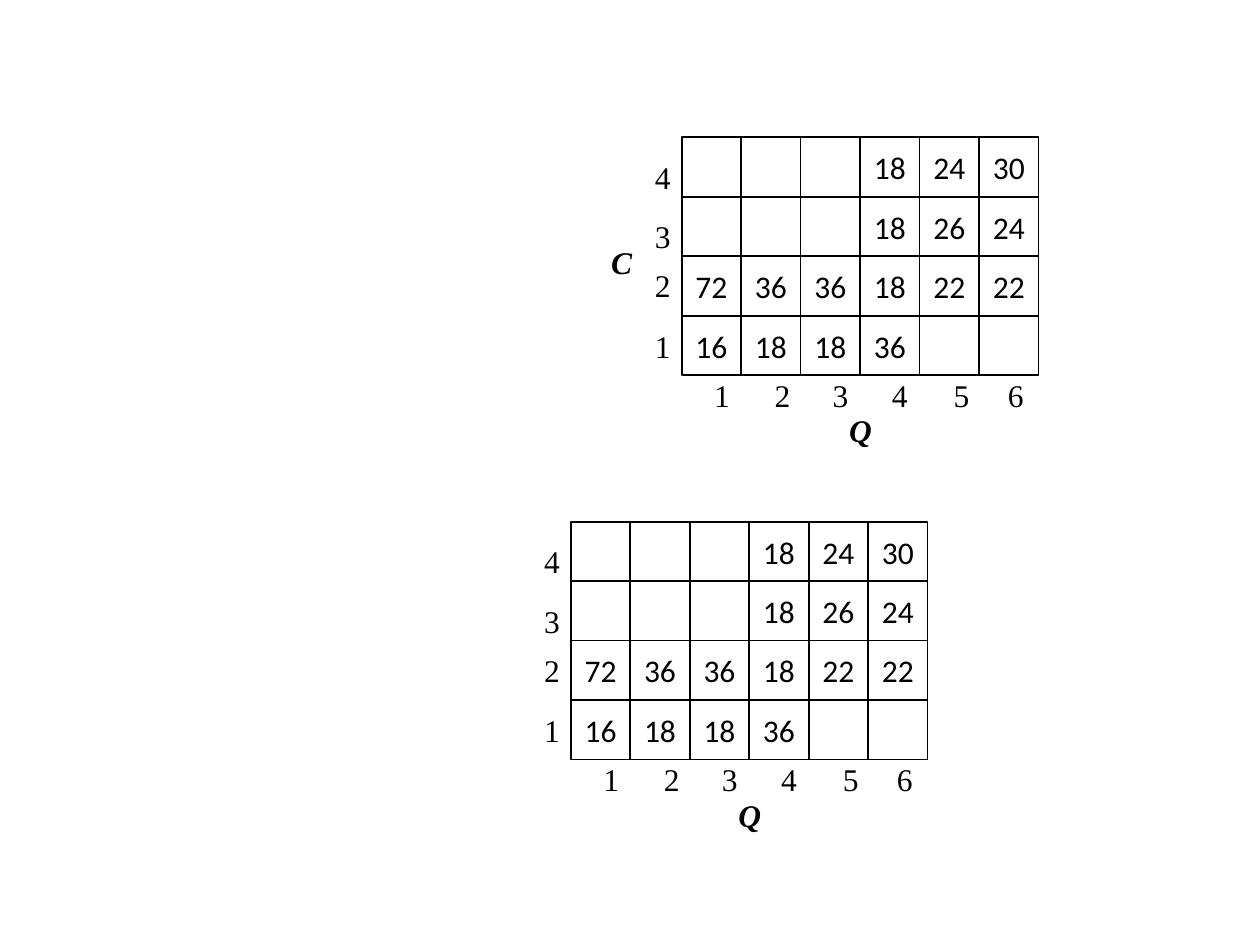
from pptx import Presentation
from pptx.dml.color import RGBColor
from pptx.enum.shapes import MSO_SHAPE
from pptx.enum.text import MSO_ANCHOR, PP_ALIGN
from pptx.util import Inches, Pt

INK, PAPER = "000000", "FFFFFF"
STEP = 2.36 / 5  # side of a cell

CELL = {"name": "Calibri", "size": Pt(18)}
TICK = {"name": "Times New Roman", "size": Pt(18)}
AXIS = TICK | {"bold": True, "italic": True}

ROWS = [
    ["", "", "", "18", "24", "30"],
    ["", "", "", "18", "26", "24"],
    ["72", "36", "36", "18", "22", "22"],
    ["16", "18", "18", "36", "", ""],
]
# Tick offsets from the grid's left and top edges
COLS = {"1": 0.16, "2": 0.64, "3": 1.1, "4": 1.57, "5": 2.06, "6": 2.49}
LEVELS = {"4": 0.16, "3": 0.63, "2": 1.02, "1": 1.5}


def color(code):
    return RGBColor.from_string(code)


def write(shape, text, style):
    frame = shape.text_frame
    frame.word_wrap = True
    frame.vertical_anchor = MSO_ANCHOR.MIDDLE
    para = frame.paragraphs[0]
    para.alignment = PP_ALIGN.CENTER
    run = para.add_run()
    run.text = text
    run.font.color.rgb = color(INK)
    for key, value in style.items():
        setattr(run.font, key, value)


def label(slide, box, text, style):
    write(slide.shapes.add_textbox(*map(Inches, box)), text, style)


def cell(slide, left, top, text):
    box = slide.shapes.add_shape(
        MSO_SHAPE.RECTANGLE, *map(Inches, (left, top, STEP, STEP)))
    box.shadow.inherit = False
    box.fill.solid()
    box.fill.fore_color.rgb = color(PAPER)
    box.line.color.rgb = color(INK)
    box.line.width = Pt(1)
    if text:
        write(box, text, CELL)


def grid(slide, left, top, side=""):
    # Cells
    for r, row in enumerate(ROWS):
        for c, text in enumerate(row):
            cell(slide, left + c * STEP, top + r * STEP, text)
    # Ticks below and to the left
    for text, shift in COLS.items():
        label(slide, (left + shift, top + 1.89, 0.22, 0.31), text, TICK)
    for text, shift in LEVELS.items():
        label(slide, (left - 0.31, top + shift, 0.23, 0.31), text, TICK)
    # Axis names
    label(slide, (left + 1.03, top + 2.13, 0.78, 0.39), "Q", AXIS)
    if side:
        label(slide, (left - 0.71, top + 0.79, 0.47, 0.39), side, AXIS)


def main():
    deck = Presentation()
    deck.slide_width, deck.slide_height = Inches(10), Inches(7.5)
    slide = deck.slides.add_slide(deck.slide_layouts[6])
    grid(slide, 5.41, 1.09, "C")
    grid(slide, 4.53, 4.14)
    deck.save("out.pptx")


if __name__ == "__main__":
    main()
